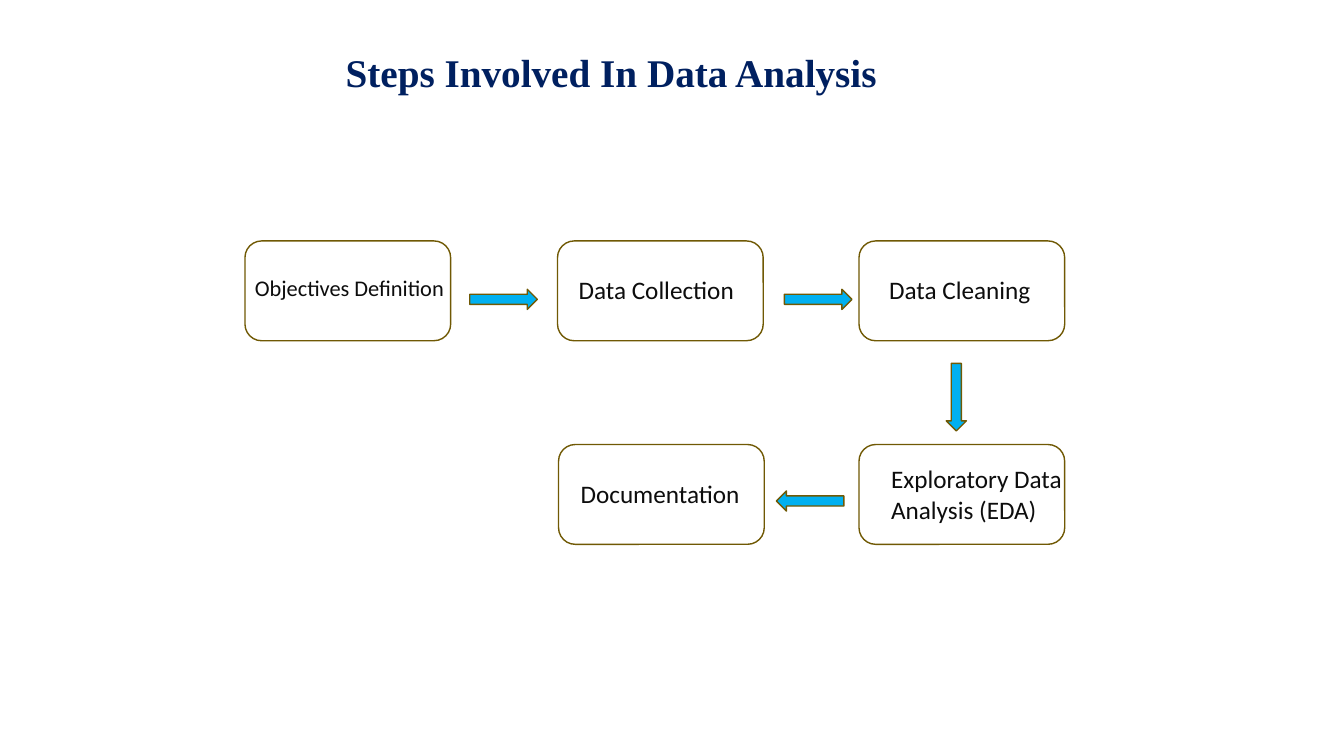
from dataclasses import dataclass

import pptx
import pptx.dml.color
import pptx.enum.shapes
import pptx.slide
import pptx.util
from pptx.util import Inches

NAVY = pptx.dml.color.RGBColor(0x00, 0x20, 0x60)
INK = pptx.dml.color.RGBColor(0x0D, 0x0D, 0x0D)
OLIVE = pptx.dml.color.RGBColor(0x70, 0x59, 0x04)
SKY = pptx.dml.color.RGBColor(0x00, 0xB0, 0xF0)
SHAPES = pptx.enum.shapes.MSO_SHAPE

STEP_WIDTH, STEP_HEIGHT = 2.04, 0.99
ARROW_WIDTH, ARROW_HEIGHT = 0.67, 0.2
TOP_ROW, BOTTOM_ROW = 2.39, 4.41


@dataclass(frozen=True)
class Label:
    text: str
    left: float
    top: float
    width: float
    height: float = 0.4
    size: int = 18
    font: str = "Calibri"
    color: pptx.dml.color.RGBColor = INK
    bold: bool = False


@dataclass(frozen=True)
class Step:
    left: float
    top: float
    label: Label


@dataclass(frozen=True)
class Arrow:
    left: float
    top: float
    rotation: int = 0


TITLE = Label("Steps Involved In Data Analysis", 3.33, 0.43, 6.67, 0.57,
              28, "Times New Roman", NAVY, True)

STEPS = [
    Step(2.43, TOP_ROW, Label("Objectives Definition", 2.43, 2.67, 2.23, 0.37, 16)),
    Step(5.53, TOP_ROW, Label("Data Collection", 5.64, 2.67, 1.82)),
    Step(8.52, TOP_ROW, Label("Data Cleaning", 8.72, 2.67, 1.65)),
    Step(8.52, BOTTOM_ROW, Label("Exploratory Data Analysis (EDA)", 8.74, 4.55, 2.3, 0.71)),
    Step(5.54, BOTTOM_ROW, Label("Documentation", 5.66, 4.7, 1.92)),
]

ARROWS = [
    Arrow(4.66, 2.87),
    Arrow(7.78, 2.87),
    Arrow(9.15, 3.84, 90),
    Arrow(7.7, 4.87, 180),
]


def draw_label(slide: pptx.slide.Slide, label: Label) -> None:
    box = slide.shapes.add_textbox(Inches(label.left), Inches(label.top),
                                   Inches(label.width), Inches(label.height))
    box.text_frame.word_wrap = True
    box.text_frame.text = label.text
    font = box.text_frame.paragraphs[0].runs[0].font
    font.name = label.font
    font.size = pptx.util.Pt(label.size)
    font.bold = label.bold
    font.color.rgb = label.color


def draw_step(slide: pptx.slide.Slide, step: Step) -> None:
    frame = slide.shapes.add_shape(
        SHAPES.ROUNDED_RECTANGLE, Inches(step.left), Inches(step.top),
        Inches(STEP_WIDTH), Inches(STEP_HEIGHT))
    frame.shadow.inherit = False
    frame.fill.background()
    frame.line.color.rgb = OLIVE
    frame.line.width = pptx.util.Pt(1)
    draw_label(slide, step.label)


def draw_arrow(slide: pptx.slide.Slide, arrow: Arrow) -> None:
    block = slide.shapes.add_shape(
        SHAPES.RIGHT_ARROW, Inches(arrow.left), Inches(arrow.top),
        Inches(ARROW_WIDTH), Inches(ARROW_HEIGHT))
    block.rotation = arrow.rotation
    block.shadow.inherit = False
    block.fill.solid()
    block.fill.fore_color.rgb = SKY
    block.line.color.rgb = OLIVE
    block.line.width = pptx.util.Pt(1)


def main() -> None:
    deck = pptx.Presentation()
    deck.slide_width, deck.slide_height = Inches(13.33), Inches(7.5)
    slide = deck.slides.add_slide(deck.slide_layouts[6])
    draw_label(slide, TITLE)
    for step in STEPS:
        draw_step(slide, step)
    for arrow in ARROWS:
        draw_arrow(slide, arrow)
    deck.save("out.pptx")


if __name__ == "__main__":
    main()
